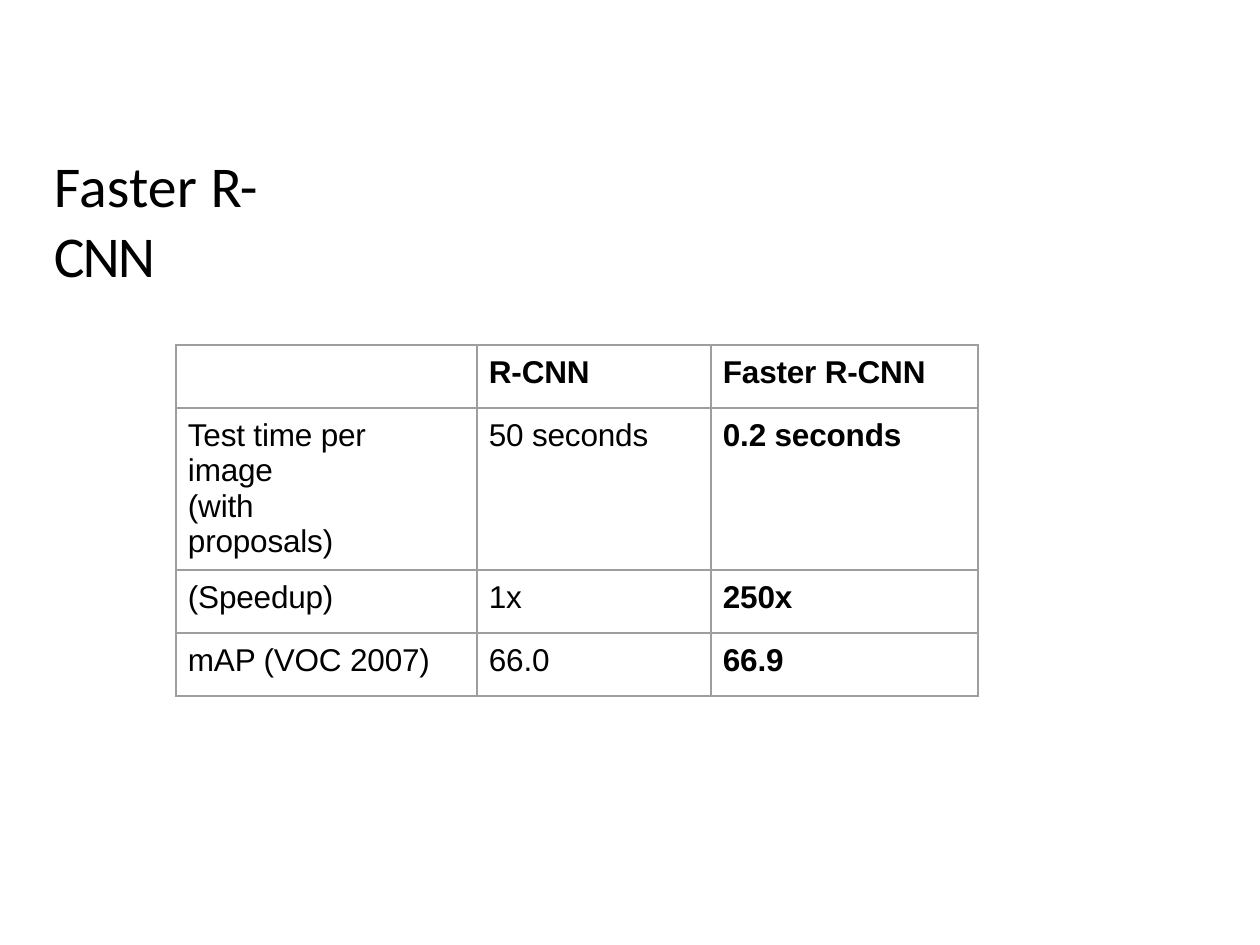
from lxml import etree
from pptx import Presentation
from pptx.dml.color import RGBColor
from pptx.enum.text import MSO_ANCHOR
from pptx.oxml.ns import qn
from pptx.util import Emu, Pt

MIDDLE, TOP = MSO_ANCHOR.MIDDLE, MSO_ANCHOR.TOP
PX_PER_INCH = 126


def px(length):
    return Emu(round(length * 914400 / PX_PER_INCH))


def color(hex_value):
    return RGBColor.from_string(hex_value)


def write(paragraph, text, size=18, font="Arial", bold=False, ink="000000", spacing=0):
    """Add one run; spacing is the letter spacing in points."""
    run = paragraph.add_run()
    run.text = text
    run.font.size = Pt(size)
    run.font.name = font
    run.font.bold = bold
    run.font.color.rgb = color(ink)
    if spacing:
        run._r.get_or_add_rPr().set("spc", str(round(spacing * 100)))


class ComparisonSlide:
    border_color = "9E9E9E"
    border_width = Pt(0.75)

    def __init__(self, presentation):
        self.slide = presentation.slides.add_slide(presentation.slide_layouts[6])

    def title(self, left, top, width, height, parts):
        frame = self.slide.shapes.add_textbox(*map(px, (left, top, width, height))).text_frame
        frame.word_wrap = True
        frame.vertical_anchor = MIDDLE
        frame.margin_left = px(1)
        frame.margin_top = px(1)
        frame.margin_right = frame.margin_bottom = 0
        for text, spacing in parts:
            write(frame.paragraphs[0], text, size=33, font="Calibri", spacing=spacing)

    def border(self, cell):
        properties = cell._tc.get_or_add_tcPr()
        for side in ("lnL", "lnR", "lnT", "lnB"):
            line = etree.SubElement(properties, qn(f"a:{side}"), w=str(self.border_width))
            fill = etree.SubElement(line, qn("a:solidFill"))
            etree.SubElement(fill, qn("a:srgbClr"), val=self.border_color)

    def cell(self, cell, text, bold, right_margin):
        self.border(cell)
        cell.fill.background()
        cell.vertical_anchor = TOP
        cell.margin_left, cell.margin_top = px(12), px(10)
        cell.margin_right, cell.margin_bottom = px(right_margin), 0
        for index, line in enumerate(text.split("\n")):
            frame = cell.text_frame
            paragraph = frame.add_paragraph() if index else frame.paragraphs[0]
            if line:
                write(paragraph, line, bold=bold, spacing=-0.1)

    def table(self, left, top, widths, heights, rows):
        table = self.slide.shapes.add_table(
            len(heights), len(widths), px(left), px(top),
            px(sum(widths)), px(sum(heights))).table
        table.first_row = table.horz_banding = False
        for column, width in zip(table.columns, widths):
            column.width = px(width)
        for row, height in zip(table.rows, heights):
            row.height = px(height)
        for r, values in enumerate(rows):
            for c, text in enumerate(values):
                # The header row and the winning column are bold;
                # the two-paragraph label wraps in a narrower width
                self.cell(table.cell(r, c), text, bold=r == 0 or c == 2,
                          right_margin=90 if "\n" in text else 0)


def main():
    presentation = Presentation()
    presentation.slide_width = px(1260)
    presentation.slide_height = px(945)
    comparison = ComparisonSlide(presentation)

    # Heading
    comparison.title(53, 183, 302, 72, [("Faster ", 0.1), ("R-CNN", -1.2)])

    # Speed and accuracy results
    results = [
        ("", "R-CNN", "Faster R-CNN"),
        ("Test time per image\n(with proposals)", "50 seconds", "0.2 seconds"),
        ("(Speedup)", "1x", "250x"),
        ("mAP (VOC 2007)", "66.0", "66.9"),
    ]
    comparison.table(176, 345, [301, 234, 267], [63, 162, 63, 63], results)

    presentation.save("out.pptx")


if __name__ == "__main__":
    main()
